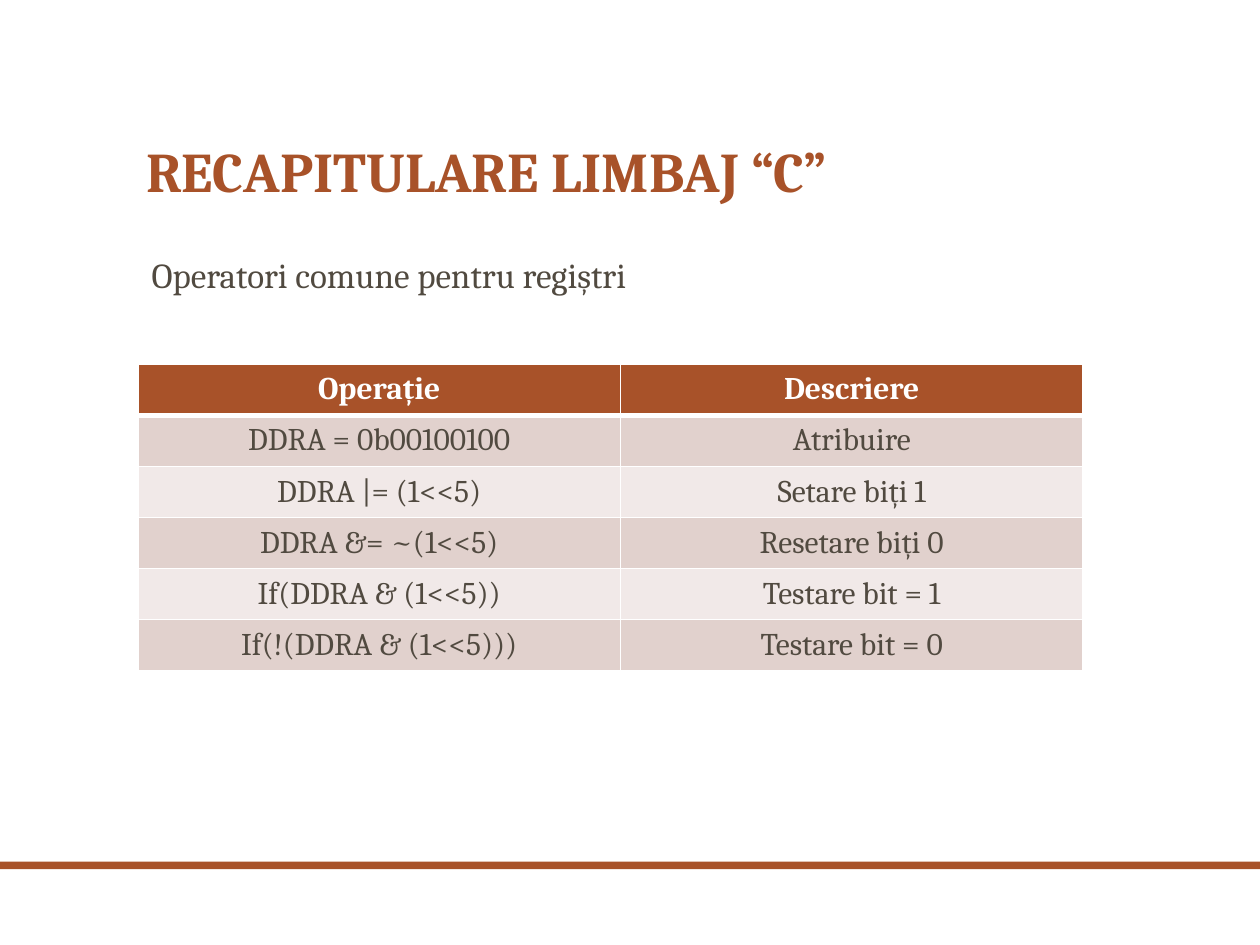
from dataclasses import dataclass
from lxml.etree import SubElement as Sub
from pptx import Presentation as Deck
from pptx.dml.color import RGBColor as Rgb
from pptx.enum.shapes import MSO_SHAPE as Kind
from pptx.enum.text import MSO_ANCHOR as Anchor, MSO_AUTO_SIZE as Fit, PP_ALIGN as Align
from pptx.oxml.ns import qn
from pptx.util import Cm, Pt


@dataclass(frozen=True)
class Theme:
    face: str = "Cambria"
    rust: str = "A85229"
    ink: str = "514A40"
    white: str = "FFFFFF"
    bands: tuple = ("F1E9E8", "E1D1CD")
    head: int = 32
    body: int = 20
    cell: int = 18
    thin: int = 1
    thick: int = 3


def apply(item, **values):
    for name, value in values.items():
        setattr(item, name, value)


def paint(item, tone):
    item.fill.solid()
    item.fill.fore_color.rgb = Rgb.from_string(tone)


class Page:
    def __init__(self, deck, theme):
        self.theme = theme
        self.slide = deck.slides.add_slide(deck.slide_layouts[5])
        self.shapes = self.slide.shapes

    def label(self, frame, text, size, tone, bold=False, **form):
        para = frame.paragraphs[0]
        run = para.add_run()
        run.text = text
        apply(para, **form)
        apply(run.font, name=self.theme.face, size=Pt(size), bold=bold)
        run.font.color.rgb = Rgb.from_string(tone)
        return para

    def title(self, text, left, top, width, height):
        box = self.shapes.title
        apply(box, left=Cm(left), top=Cm(top), width=Cm(width), height=Cm(height))
        apply(box.text_frame, word_wrap=True, auto_size=Fit.NONE,
              vertical_anchor=Anchor.BOTTOM)
        self.label(box.text_frame, text, self.theme.head, self.theme.rust, True,
                   alignment=Align.LEFT, line_spacing=0.9)

    def text(self, text, left, top, width, height):
        box = self.shapes.add_textbox(Cm(left), Cm(top), Cm(width), Cm(height))
        apply(box.text_frame, word_wrap=True, vertical_anchor=Anchor.TOP)
        para = self.label(box.text_frame, text, self.theme.body, self.theme.ink,
                          alignment=Align.LEFT, line_spacing=0.9)
        props = para._p.get_or_add_pPr()
        props.set("marL", str(Cm(0.76)))
        props.set("indent", str(Cm(-0.64)))

    def bar(self, left, top, width, height):
        bar = self.shapes.add_shape(Kind.RECTANGLE, Cm(left), Cm(top), Cm(width), Cm(height))
        bar.shadow.inherit = False
        paint(bar, self.theme.rust)
        bar.line.fill.background()

    def edge(self, cell, side, width):
        line = Sub(cell._tc.get_or_add_tcPr(), qn(f"a:ln{side}"), w=str(Pt(width)))
        Sub(Sub(line, qn("a:solidFill")), qn("a:srgbClr"), val=self.theme.white)

    def table(self, rows, left, top, cols, high):
        look = self.theme
        grid = self.shapes.add_table(len(rows), len(cols), Cm(left), Cm(top),
                                     Cm(sum(cols)), Cm(high * len(rows))).table
        for col, width in zip(grid.columns, cols):
            col.width = Cm(width)
        pad = dict.fromkeys(("margin_left", "margin_right", "margin_top", "margin_bottom"),
                            Cm(0.13))
        for i, row in enumerate(rows):
            grid.rows[i].height = Cm(high)
            first = i == 0
            edges = {"L": look.thin, "R": look.thin,
                     "T": look.thick if i == 1 else look.thin,
                     "B": look.thick if first else look.thin}
            for j, text in enumerate(row):
                cell = grid.cell(i, j)
                apply(cell, vertical_anchor=Anchor.MIDDLE, **pad)
                for side, width in edges.items():
                    self.edge(cell, side, width)
                paint(cell, look.rust if first else look.bands[i % 2])
                self.label(cell.text_frame, text, look.cell,
                           look.white if first else look.ink, first,
                           alignment=Align.CENTER)


def main():
    deck = Deck()
    apply(deck, slide_width=Cm(25.4), slide_height=Cm(19.05))
    page = Page(deck, Theme())
    page.bar(0, 17.37, 25.4, 0.15)
    page.title("RECAPITULARE LIMBAJ “C”", 2.69, 1.07, 20.02, 3.18)
    page.text("Operatori comune pentru regiștri", 2.69, 5.08, 20.02, 11.43)
    rows = [
        ("Operație", "Descriere"),
        ("DDRA = 0b00100100", "Atribuire"),
        ("DDRA |= (1<<5)", "Setare biți 1"),
        ("DDRA &= ~(1<<5)", "Resetare biți 0"),
        ("If(DDRA & (1<<5))", "Testare bit = 1"),
        ("If(!(DDRA & (1<<5)))", "Testare bit = 0"),
    ]
    page.table(rows, 2.78, 7.34, (9.73, 9.32), 1.03)
    deck.save("out.pptx")


if __name__ == "__main__":
    main()
